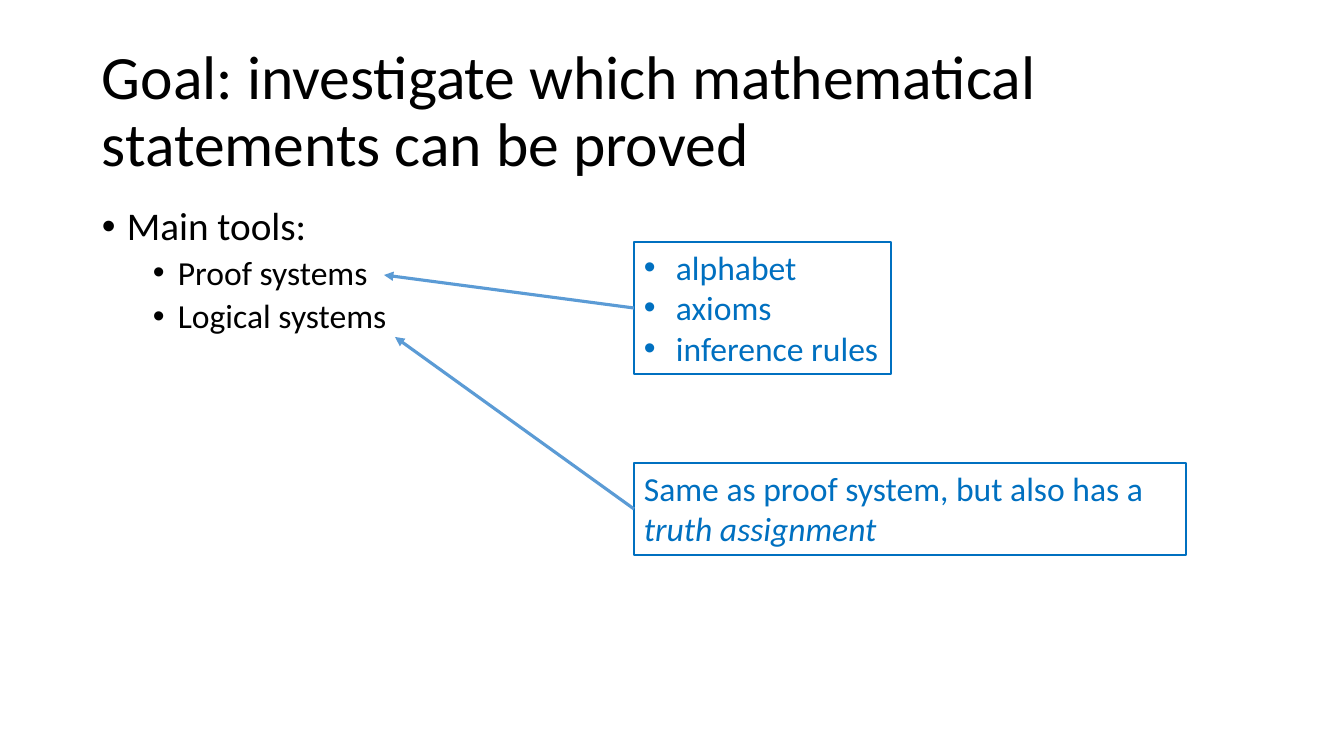
from dataclasses import dataclass
from lxml import etree
from pptx import Presentation
from pptx import util as u
from pptx.dml.color import RGBColor
from pptx.enum import shapes, text
from pptx.oxml.ns import qn


@dataclass(frozen=True)
class Theme:
    font: str = "Calibri"
    ink: RGBColor = RGBColor(0x00, 0x00, 0x00)
    blue: RGBColor = RGBColor(0x00, 0x70, 0xC0)
    arrow: RGBColor = RGBColor(0x5B, 0x9B, 0xD5)
    title: int = 44
    main: int = 28
    sub: int = 24
    edge: float = 1.5
    stroke: float = 2.25


theme = Theme()
SCALE = 914400 / 100.8


def px(n):
    return u.Emu(round(n * SCALE))


def style(para, size, color):
    para.font.name = theme.font
    para.font.size = u.Pt(size)
    para.font.color.rgb = color


def bullet(para, left, hang):
    props = para._p.get_or_add_pPr()
    props.set("marL", str(px(left)))
    props.set("indent", str(-px(hang)))
    etree.SubElement(props, qn("a:buFont")).set("typeface", "Arial")
    etree.SubElement(props, qn("a:buChar")).set("char", "•")


def frame(slide, box):
    area = slide.shapes.add_textbox(*map(px, box)).text_frame
    area.word_wrap = True
    return area


def lines(area, count):
    return [area.paragraphs[0]] + [area.add_paragraph() for _ in range(count - 1)]


def title(slide, box, words):
    area = frame(slide, box)
    area.vertical_anchor = text.MSO_ANCHOR.MIDDLE
    para = area.paragraphs[0]
    para.text = words
    para.line_spacing = 0.9
    style(para, theme.title, theme.ink)


def tools(slide, box, head, items):
    area = frame(slide, box)
    for i, (para, words) in enumerate(zip(lines(area, len(items) + 1), [head, *items])):
        para.text = words
        para.line_spacing = 0.9
        if i:
            para.level = 1
            para.space_before = u.Pt(5)
        bullet(para, 76 if i else 25, 25)
        style(para, theme.sub if i else theme.main, theme.ink)


def note(slide, box, rows, tip, listed):
    card = slide.shapes.add_shape(shapes.MSO_SHAPE.RECTANGLE, *map(px, box))
    card.shadow.inherit = False
    card.fill.background()
    card.line.color.rgb = theme.blue
    card.line.width = u.Pt(theme.edge)
    area = card.text_frame
    area.word_wrap = not listed
    area.auto_size = text.MSO_AUTO_SIZE.SHAPE_TO_FIT_TEXT
    area.vertical_anchor = text.MSO_ANCHOR.TOP
    for para, row in zip(lines(area, len(rows)), rows):
        para.alignment = text.PP_ALIGN.LEFT
        for words, slant in row:
            run = para.add_run()
            run.text = words
            if slant:
                run.font.italic = True
        if listed:
            bullet(para, 32, 32)
        style(para, theme.sub, theme.blue)
    arrow(slide, card, tip)


def arrow(slide, card, tip):
    end = [px(n) for n in tip]
    link = slide.shapes.add_connector(
        shapes.MSO_CONNECTOR.STRAIGHT, card.left, card.top + card.height // 2, *end)
    link.begin_connect(card, 1)
    link.line.color.rgb = theme.arrow
    link.line.width = u.Pt(theme.stroke)
    etree.SubElement(link.line._get_or_add_ln(), qn("a:tailEnd")).set("type", "triangle")
    etree.SubElement(link._element.spPr, qn("a:effectLst"))


def main():
    deck = Presentation()
    deck.slide_width, deck.slide_height = px(1344), px(756)
    slide = deck.slides.add_slide(deck.slide_layouts[6])
    title(slide, (92, 40, 1160, 146),
          "Goal: investigate which mathematical statements can be proved")
    tools(slide, (92, 202, 1160, 480), "Main tools:",
          ["Proof systems", "Logical systems"])
    parts = [[(word, False)] for word in ("alphabet", "axioms", "inference rules")]
    note(slide, (634, 242, 257, 132), parts, (384, 275), True)
    same = [("Same as proof system, but also has a ", False), ("truth assignment", True)]
    note(slide, (634, 463, 552, 92), [same], (395, 337), False)
    deck.save("out.pptx")


if __name__ == "__main__":
    main()
